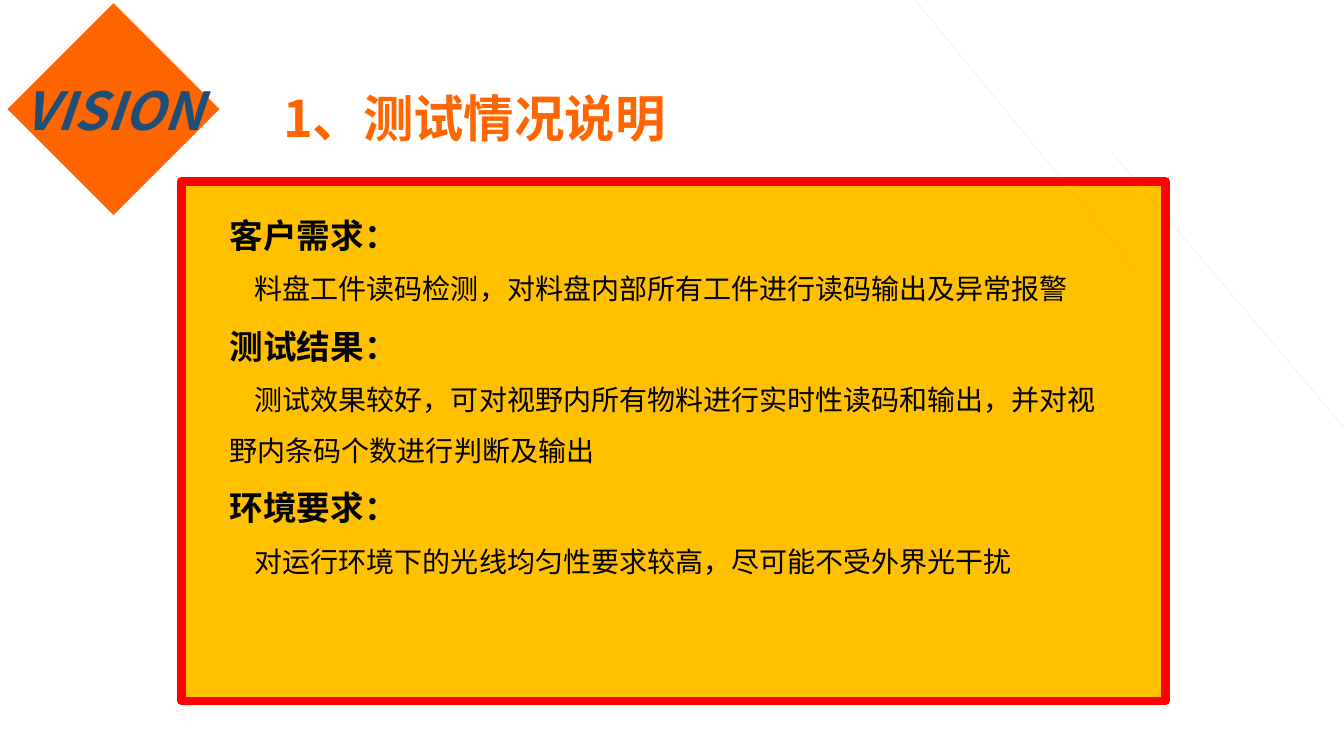
import pptx
import pptx.dml.color
import pptx.enum.shapes
import pptx.enum.text
import pptx.oxml.ns
import pptx.util
from lxml import etree

Cm = pptx.util.Cm
Pt = pptx.util.Pt
qn = pptx.oxml.ns.qn
FONT = "Noto Sans CJK SC"
ORANGE = "FF6600"
SECTIONS = [
    ("客户需求：", "料盘工件读码检测，对料盘内部所有工件进行读码输出及异常报警"),
    ("测试结果：", "测试效果较好，可对视野内所有物料进行实时性读码和输出，并对视野内条码个数进行判断及输出"),
    ("环境要求：", "对运行环境下的光线均匀性要求较高，尽可能不受外界光干扰"),
]


def color(code):
    """Turn a hex string into a colour."""
    return pptx.dml.color.RGBColor.from_string(code)


def style(para, size, code, bold=False, italic=False):
    """Format every run of a paragraph, in Latin and East Asian script."""
    for span in para.runs:
        span.font.name = FONT
        span.font.size = Pt(size)
        span.font.bold = bold
        span.font.italic = italic
        span.font.color.rgb = color(code)
        latin = span.font._element.find(qn("a:latin"))
        east = etree.Element(qn("a:ea"), typeface=FONT)
        latin.addnext(east)


def add_block(page, left, top, width, height, fill, border=None):
    """Add a flat rectangle, with a border if a colour is given."""
    block = page.shapes.add_shape(
        pptx.enum.shapes.MSO_SHAPE.RECTANGLE, Cm(left), Cm(top), Cm(width), Cm(height))
    block.shadow.inherit = False
    block.fill.solid()
    block.fill.fore_color.rgb = color(fill)
    if border:
        block.line.color.rgb = color(border)
        block.line.width = Pt(6)
    else:
        block.line.fill.background()
    return block


def add_text(page, left, top, width, height):
    """Add a wrapping text box and return its frame."""
    box = page.shapes.add_textbox(Cm(left), Cm(top), Cm(width), Cm(height))
    box.text_frame.word_wrap = True
    return box.text_frame


def add_badge(page, left, top, side):
    """Add the tilted square with its word across the middle."""
    add_block(page, left, top, side, side, ORANGE).rotation = 45
    width, height = 6.27, 1.85
    frame = add_text(page, left + (side - width) / 2, top + (side - height) / 2,
                     width, height)
    frame.text = "VISION"
    frame.vertical_anchor = pptx.enum.text.MSO_ANCHOR.MIDDLE
    para = frame.paragraphs[0]
    para.alignment = pptx.enum.text.PP_ALIGN.CENTER
    style(para, 37.4, "1F4E79", bold=True, italic=True)


def set_title(page, left, top, width, height):
    """Place and format the slide title."""
    title = page.shapes.title
    title.left, title.top = Cm(left), Cm(top)
    title.width, title.height = Cm(width), Cm(height)
    frame = title.text_frame
    frame.text = "1、测试情况说明"
    frame.auto_size = pptx.enum.text.MSO_AUTO_SIZE.NONE
    frame.vertical_anchor = pptx.enum.text.MSO_ANCHOR.TOP
    para = frame.paragraphs[0]
    para.alignment = pptx.enum.text.PP_ALIGN.LEFT
    style(para, 36, ORANGE, bold=True)


def add_hairline(page, start, end):
    """Add a faint, partly transparent line between two points."""
    line = page.shapes.add_connector(
        pptx.enum.shapes.MSO_CONNECTOR.STRAIGHT, *map(Cm, start + end))
    line.line.width = Pt(0.2)
    line.line.color.rgb = color("D76739")
    properties = line._element.spPr
    etree.SubElement(properties, qn("a:effectLst"))
    tint = properties.find(".//" + qn("a:srgbClr"))
    etree.SubElement(tint, qn("a:alpha"), val="21000")


def add_sections(page, left, top, width, height):
    """Write each heading with its indented statement below."""
    frame = add_text(page, left, top, width, height)
    frame.text = "\n".join(text for section in SECTIONS for text in section)
    for index, para in enumerate(frame.paragraphs):
        para.line_spacing = 1.5
        heading = index % 2 == 0
        style(para, 24 if heading else 20, "000000", bold=heading)
        if not heading:
            para._p.get_or_add_pPr().set("indent", str(Cm(0.63)))


def build():
    """Build the slide and save the deck."""
    deck = pptx.Presentation()
    deck.slide_width, deck.slide_height = Cm(33.87), Cm(19.05)
    page = deck.slides.add_slide(deck.slide_layouts[5])
    add_block(page, 4.57, 4.57, 24.8, 13.1, "FFC000", border="FF0000")
    add_badge(page, 0.97, 0.86, 3.78)
    set_title(page, 6.88, 2.06, 16.4, 1.8)
    add_hairline(page, (28.02, 3.84), (33.87, 10.77))
    add_hairline(page, (23.06, 0), (28.68, 6.86))
    add_sections(page, 5.54, 4.78, 22.9, 10)
    deck.save("out.pptx")


build()
